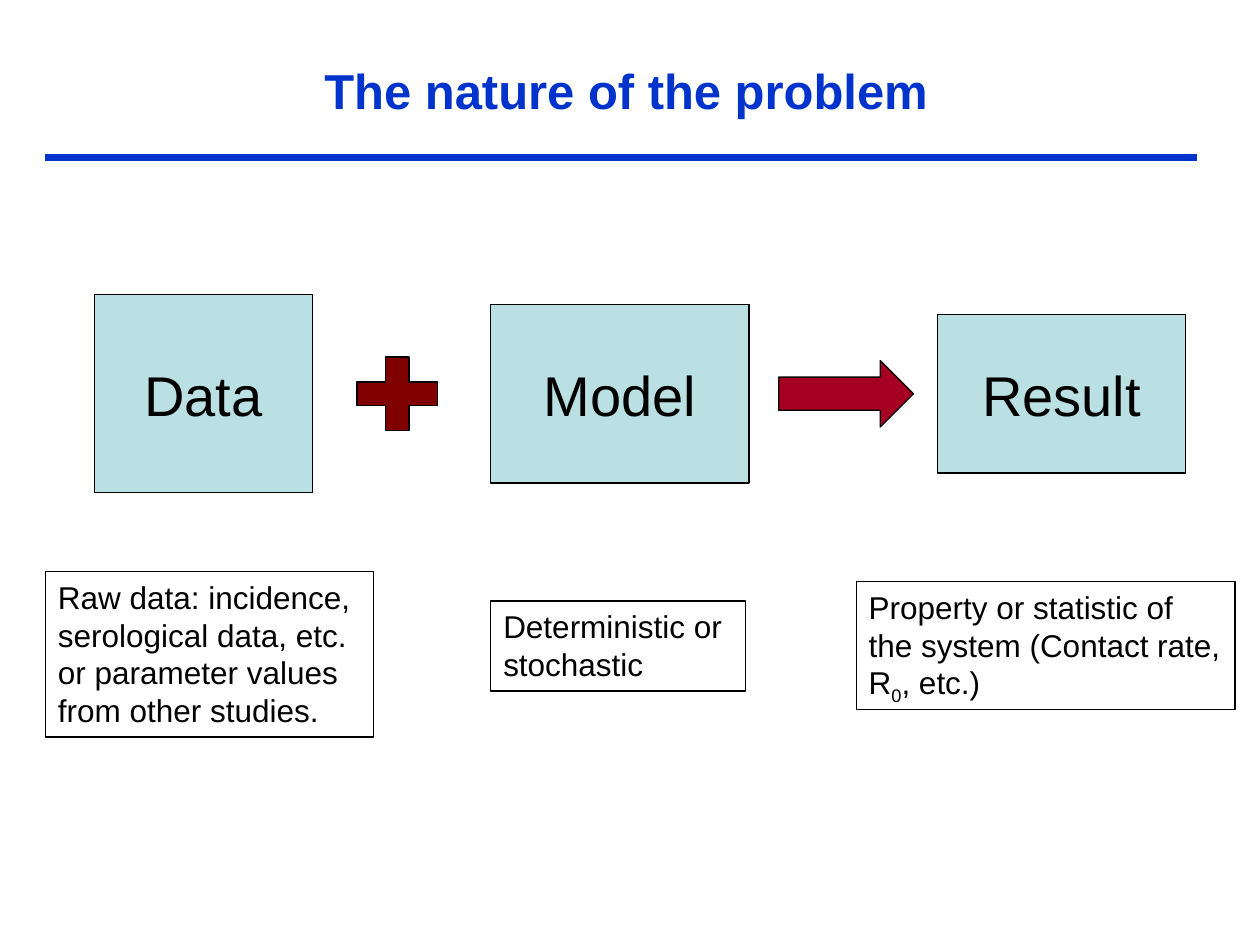
from lxml.etree import SubElement
from pptx import Presentation
from pptx.dml.color import RGBColor
from pptx.enum.shapes import MSO_CONNECTOR, MSO_SHAPE
from pptx.enum.text import MSO_ANCHOR, MSO_AUTO_SIZE, PP_ALIGN
from pptx.oxml.ns import qn
from pptx.util import Pt

BLUE, TEAL, BLACK = "0033CC", "BBE0E3", "000000"
MID = 225  # shared centre line of the diagram

STEPS = [  # text, left, width, height
    ("Data", 54, 124.6, 113),
    ("Model", 280.5, 147.6, 102.2),
    ("Result", 535.7, 141.8, 90.7),
]
NOTES = [  # text, left, top, width, height
    ("Raw data: incidence,\nserological data, etc.\nor parameter values\nfrom other studies.",
     26, 326.7, 187.4, 94.5),
    ("Deterministic or\nstochastic", 280.5, 343.5, 145.5, 51.4),
    ("Property or statistic of\nthe system (Contact rate,\nR0, etc.)",
     489.3, 332.3, 216.5, 73),
]


def color(code):
    return RGBColor.from_string(code)


def style(frame, size, code, align, bold=False):
    for para in frame.paragraphs:
        para.alignment = align
        for run in para.runs:
            font = run.font
            font.name, font.size, font.bold = "Arial", Pt(size), bold
            font.color.rgb = color(code)


def add_title(slide, text):
    title = slide.shapes.title
    title.left, title.top = Pt(33.8), Pt(21.6)
    title.width, title.height = Pt(648), Pt(60)
    frame = title.text_frame
    frame.text = text
    frame.vertical_anchor = MSO_ANCHOR.MIDDLE
    style(frame, 28, BLUE, PP_ALIGN.CENTER, True)


def add_rule(slide):
    rule = slide.shapes.add_connector(
        MSO_CONNECTOR.STRAIGHT, Pt(26), Pt(90), Pt(684), Pt(90))
    rule.line.color.rgb = color(BLUE)
    rule.line.width = Pt(4.5)
    SubElement(rule._element.spPr, qn("a:effectLst"))


def add_shape(slide, kind, left, top, width, height, fill=None):
    """Add a thinly outlined shape, unfilled when no fill is given."""
    shape = slide.shapes.add_shape(
        kind, Pt(left), Pt(top), Pt(width), Pt(height))
    shape.shadow.inherit = False
    if fill:
        shape.fill.solid()
        shape.fill.fore_color.rgb = color(fill)
    else:
        shape.fill.background()
    shape.line.color.rgb = color(BLACK)
    shape.line.width = Pt(0.75)
    return shape


def add_step(slide, text, left, width, height):
    box = add_shape(slide, MSO_SHAPE.RECTANGLE,
                    left, MID - height / 2, width, height, TEAL)
    frame = box.text_frame
    frame.text = text
    frame.word_wrap = False
    frame.vertical_anchor = MSO_ANCHOR.MIDDLE
    style(frame, 32, BLACK, PP_ALIGN.CENTER)


def add_note(slide, text, left, top, width, height):
    box = add_shape(slide, MSO_SHAPE.RECTANGLE, left, top, width, height)
    frame = box.text_frame
    frame.text = text
    frame.word_wrap = False
    frame.auto_size = MSO_AUTO_SIZE.SHAPE_TO_FIT_TEXT
    frame.vertical_anchor = MSO_ANCHOR.TOP
    for para in frame.paragraphs:
        if para.text.startswith("R0"):
            lower(para)
    style(frame, 18, BLACK, PP_ALIGN.LEFT)


def lower(para):
    """Split the paragraph so that its second letter is a subscript."""
    text = para.text
    para.runs[0].text = text[0]
    sub = para.add_run()
    sub.text = text[1]
    sub.font._element.set("baseline", "-25000")
    para.add_run().text = text[2:]


def main():
    deck = Presentation()
    deck.slide_width, deck.slide_height = Pt(720), Pt(540)
    slide = deck.slides.add_slide(deck.slide_layouts[5])
    add_rule(slide)
    add_title(slide, "The nature of the problem")
    for step in STEPS:
        add_step(slide, *step)
    add_shape(slide, MSO_SHAPE.RIGHT_ARROW, 445, MID - 19, 77, 38, "A50021")
    for note in NOTES:
        add_note(slide, *note)
    add_shape(slide, MSO_SHAPE.MATH_PLUS, 195.8, MID - 28.5, 62.6, 57, "800000")
    deck.save("out.pptx")


if __name__ == "__main__":
    main()
